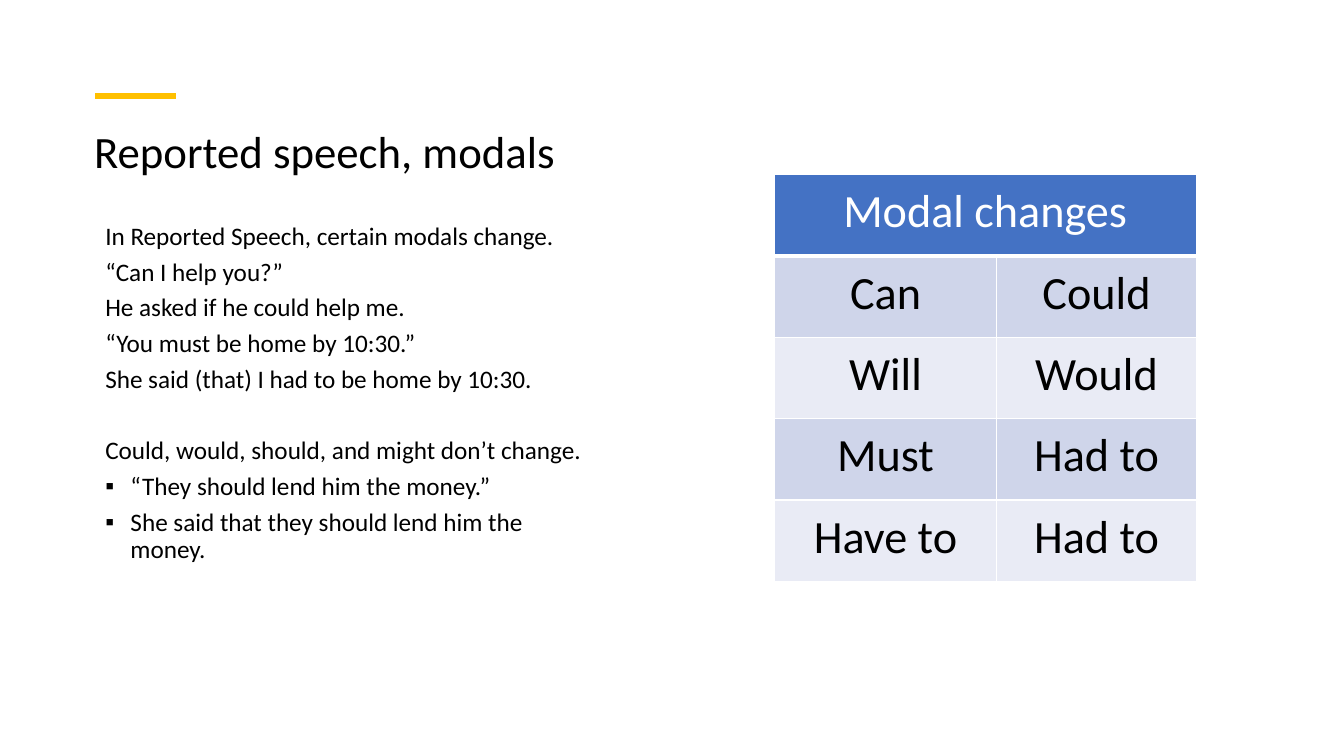
from lxml.etree import SubElement
from pptx import Presentation
from pptx.dml.color import RGBColor
from pptx.enum.shapes import MSO_CONNECTOR
from pptx.enum.text import MSO_ANCHOR, MSO_AUTO_SIZE, PP_ALIGN
from pptx.oxml.ns import qn
from pptx.util import Pt

FONT = "Calibri"
BLACK = RGBColor(0x00, 0x00, 0x00)
WHITE = RGBColor(0xFF, 0xFF, 0xFF)
GOLD = RGBColor(0xFF, 0xC0, 0x00)
HEADER_BLUE = RGBColor(0x44, 0x72, 0xC4)
BANDS = RGBColor(0xCF, 0xD5, 0xEA), RGBColor(0xE9, 0xEB, 0xF5)

RULES = [
    "In Reported Speech, certain modals change.",
    "“Can I help you?”",
    "He asked if he could help me.",
    "“You must be home by 10:30.”",
    "She said (that) I had to be home by 10:30.",
]
EXCEPTION = "Could, would, should, and might don’t change."
EXAMPLES = [
    "“They should lend him the money.”",
    "She said that they should lend him the money.",
]
MODALS = [("Can", "Could"), ("Will", "Would"), ("Must", "Had to"), ("Have to", "Had to")]


def place(shape, box):
    """Move a placeholder to a box and let its text run from the top left."""
    shape.left, shape.top, shape.width, shape.height = map(Pt, box)
    frame = shape.text_frame
    frame.word_wrap = True
    frame.auto_size = MSO_AUTO_SIZE.NONE
    frame.vertical_anchor = MSO_ANCHOR.TOP
    return frame


def format_paragraph(paragraph, size, color, align=PP_ALIGN.LEFT):
    """Set the font and alignment of a paragraph."""
    paragraph.alignment = align
    paragraph.font.name = FONT
    paragraph.font.size = Pt(size)
    paragraph.font.color.rgb = color


def set_bullet(paragraph, bullet=None):
    """Give a paragraph a hanging bullet, or none."""
    properties = paragraph._p.get_or_add_pPr()
    indent = Pt(18) if bullet else 0
    properties.set("marL", str(indent))
    properties.set("indent", str(-indent))
    if bullet:
        SubElement(properties, qn("a:buFont"), typeface="Wingdings" if bullet == "§" else "Arial")
        SubElement(properties, qn("a:buChar"), char=bullet)
    else:
        SubElement(properties, qn("a:buNone"))


def add_heading(slide, box):
    """Fill the title and draw the gold line above it."""
    left, top, width, height = box
    frame = place(slide.shapes.title, box)
    frame.text = "Reported speech, modals"
    paragraph = frame.paragraphs[0]
    format_paragraph(paragraph, 32, BLACK)
    paragraph.line_spacing = 0.9
    start, level = left + 8, top - 20.8
    accent = slide.shapes.add_connector(
        MSO_CONNECTOR.STRAIGHT, Pt(start), Pt(level), Pt(start + 58), Pt(level))
    accent.line.color.rgb = GOLD
    accent.line.width = Pt(4.5)
    SubElement(accent._element.spPr, qn("a:effectLst"))


def add_explanation(slide, box):
    """Fill the body with the rules, the exception and its examples."""
    frame = place(slide.placeholders[1], box)
    frame.text = "\n".join([*RULES, EXCEPTION, *EXAMPLES])
    for paragraph in frame.paragraphs:
        format_paragraph(paragraph, 18, BLACK)
        paragraph.line_spacing = 0.9
        paragraph.space_before = Pt(25.8 if paragraph.text == EXCEPTION else 0)
        paragraph.space_after = Pt(6)
        set_bullet(paragraph, "▪" if paragraph.text in EXAMPLES else None)


def format_cell(cell, fill, color, top=1, bottom=1):
    """Style a table cell with white borders, a fill and centred text."""
    cell.margin_left = cell.margin_right = Pt(13)
    cell.margin_top = cell.margin_bottom = Pt(6.5)
    properties = cell._tc.get_or_add_tcPr()
    for side, width in zip("LRTB", (1, 1, top, bottom)):
        border = SubElement(properties, qn(f"a:ln{side}"), w=str(Pt(width)))
        border_fill = SubElement(border, qn("a:solidFill"))
        SubElement(border_fill, qn("a:srgbClr"), val=str(WHITE))
    cell.fill.solid()
    cell.fill.fore_color.rgb = fill
    format_paragraph(cell.text_frame.paragraphs[0], 33, color, PP_ALIGN.CENTER)


def add_modal_table(slide, box):
    """Add the table of modal changes under one merged header."""
    left, top, width, height = box
    rows = [("Modal changes", ""), *MODALS]
    table = slide.shapes.add_table(len(rows), 2, *map(Pt, box)).table
    table.columns[0].width = Pt(159)
    table.columns[1].width = Pt(width - 159)
    for row_index, row in enumerate(rows):
        table.rows[row_index].height = Pt(height / len(rows))
        for column_index, text in enumerate(row):
            cell = table.cell(row_index, column_index)
            cell.text = text
            if row_index == 0:
                format_cell(cell, HEADER_BLUE, WHITE, bottom=3)
            else:
                format_cell(cell, BANDS[(row_index - 1) % 2], BLACK, top=3 if row_index == 1 else 1)
    table.cell(0, 0).merge(table.cell(0, 1))


def main():
    """Build the slide and save it."""
    presentation = Presentation()
    presentation.slide_width, presentation.slide_height = Pt(960), Pt(540)
    slide = presentation.slides.add_slide(presentation.slide_layouts[1])
    add_heading(slide, (60, 89.2, 358, 110))
    add_explanation(slide, (68, 156.2, 358, 284))
    add_modal_table(slide, (553, 124.8, 301.5, 290.5))
    presentation.save("out.pptx")


if __name__ == "__main__":
    main()
